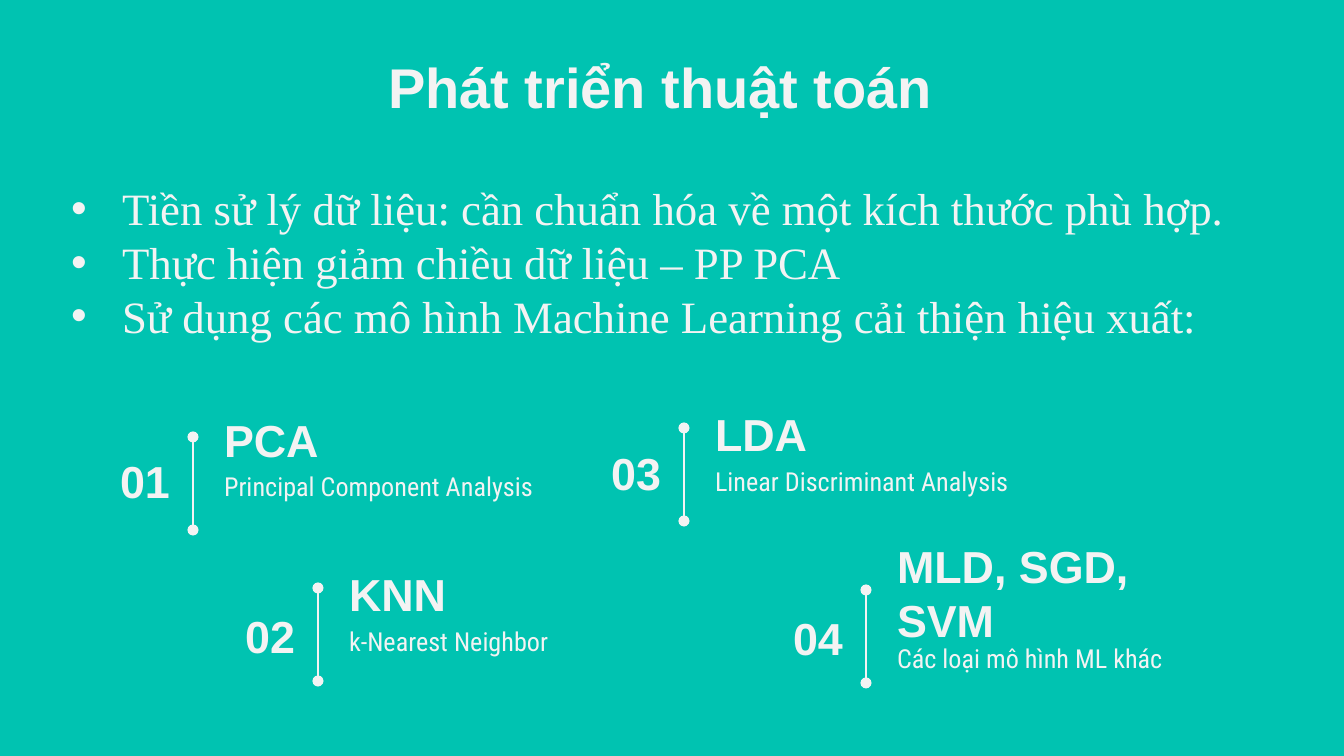
from lxml import etree
from pptx import Presentation, util as u
from pptx.dml.color import RGBColor
from pptx.enum import shapes, text
from pptx.oxml.ns import qn

PX = 914400 / 134.4
COLORS = {"background": "00C3B1", "ink": "F3F3F3"}
HEADING = "Phát triển thuật toán"
STEPS = [
    "Tiền sử lý dữ liệu: cần chuẩn hóa về một kích thước phù hợp.",
    "Thực hiện giảm chiều dữ liệu – PP PCA",
    "Sử dụng các mô hình Machine Learning cải thiện hiệu xuất:",
]
MODELS = [
    {"number": "01", "name": "PCA", "detail": "Principal Component Analysis",
     "rule": (193, 437), "tops": (450, 409, 457)},
    {"number": "02", "name": "KNN", "detail": "k-Nearest Neighbor",
     "rule": (318, 588), "tops": (605, 563, 612)},
    {"number": "03", "name": "LDA", "detail": "Linear Discriminant Analysis",
     "rule": (684, 428), "tops": (442, 403, 452)},
    {"number": "04", "name": "MLD, SGD, SVM", "detail": "Các loại mô hình ML khác",
     "rule": (866, 590), "tops": (607, 562, 629)},
]
RULE_HEIGHT = 93
NUMBER_SHIFT, NAME_SHIFT = -99, 18
INSET, BULLET_INDENT = 13, 51


def px(n):
    return u.Emu(round(n * PX))


def rgb(name):
    return RGBColor.from_string(COLORS[name])


def add_bullet(paragraph):
    props = paragraph._p.get_or_add_pPr()
    props.set("marL", str(px(BULLET_INDENT)))
    props.set("indent", str(-px(BULLET_INDENT)))
    color = etree.SubElement(props, qn("a:buClr"))
    etree.SubElement(color, qn("a:srgbClr"), val=COLORS["ink"])
    etree.SubElement(props, qn("a:buFont"), typeface="Arial")
    etree.SubElement(props, qn("a:buChar"), char="•")


def add_text(slide, lines, box, size=24, font="Arial", bold=False,
             align="LEFT", anchor="TOP", bullets=False):
    frame = slide.shapes.add_textbox(*map(px, box)).text_frame
    frame.word_wrap = True
    frame.vertical_anchor = text.MSO_ANCHOR[anchor]
    frame.margin_left = frame.margin_right = px(INSET)
    frame.margin_top = frame.margin_bottom = px(INSET)
    for i, line in enumerate(lines):
        paragraph = frame.add_paragraph() if i else frame.paragraphs[0]
        paragraph.alignment = text.PP_ALIGN[align]
        if bullets:
            add_bullet(paragraph)
        run = paragraph.add_run()
        run.text = line
        run.font.size = u.Pt(size)
        run.font.name = font
        run.font.bold = bold
        run.font.color.rgb = rgb("ink")


def add_rule(slide, x, top):
    rule = slide.shapes.add_connector(
        shapes.MSO_CONNECTOR.STRAIGHT, px(x), px(top), px(x), px(top + RULE_HEIGHT))
    rule.line.color.rgb = rgb("ink")
    rule.line.width = u.Pt(1.5)
    outline = rule.line._get_or_add_ln()
    for end in ("a:headEnd", "a:tailEnd"):
        etree.SubElement(outline, qn(end), type="oval", w="med", len="med")
    etree.SubElement(rule._element.spPr, qn("a:effectLst"))


def add_model(slide, model):
    x, top = model["rule"]
    number_top, name_top, detail_top = model["tops"]
    add_text(slide, [model["number"]], (x + NUMBER_SHIFT, number_top, 89, 62),
             bold=True, align="RIGHT", anchor="MIDDLE")
    add_text(slide, [model["name"]], (x + NAME_SHIFT, name_top, 344, 62),
             bold=True, anchor="MIDDLE")
    add_text(slide, [model["detail"]], (x + NAME_SHIFT, detail_top, 344, 95),
             size=14, font="Roboto Condensed")
    add_rule(slide, x, top)


def main():
    deck = Presentation()
    deck.slide_width, deck.slide_height = px(1344), px(756)
    slide = deck.slides.add_slide(deck.slide_layouts[6])
    slide.background.fill.solid()
    slide.background.fill.fore_color.rgb = rgb("background")
    add_text(slide, [HEADING], (94, 40, 1133, 85), size=30, bold=True, align="CENTER")
    add_text(slide, STEPS, (58, 168, 1232, 192), font="Times New Roman", bullets=True)
    for model in MODELS:
        add_model(slide, model)
    deck.save("out.pptx")


if __name__ == "__main__":
    main()
